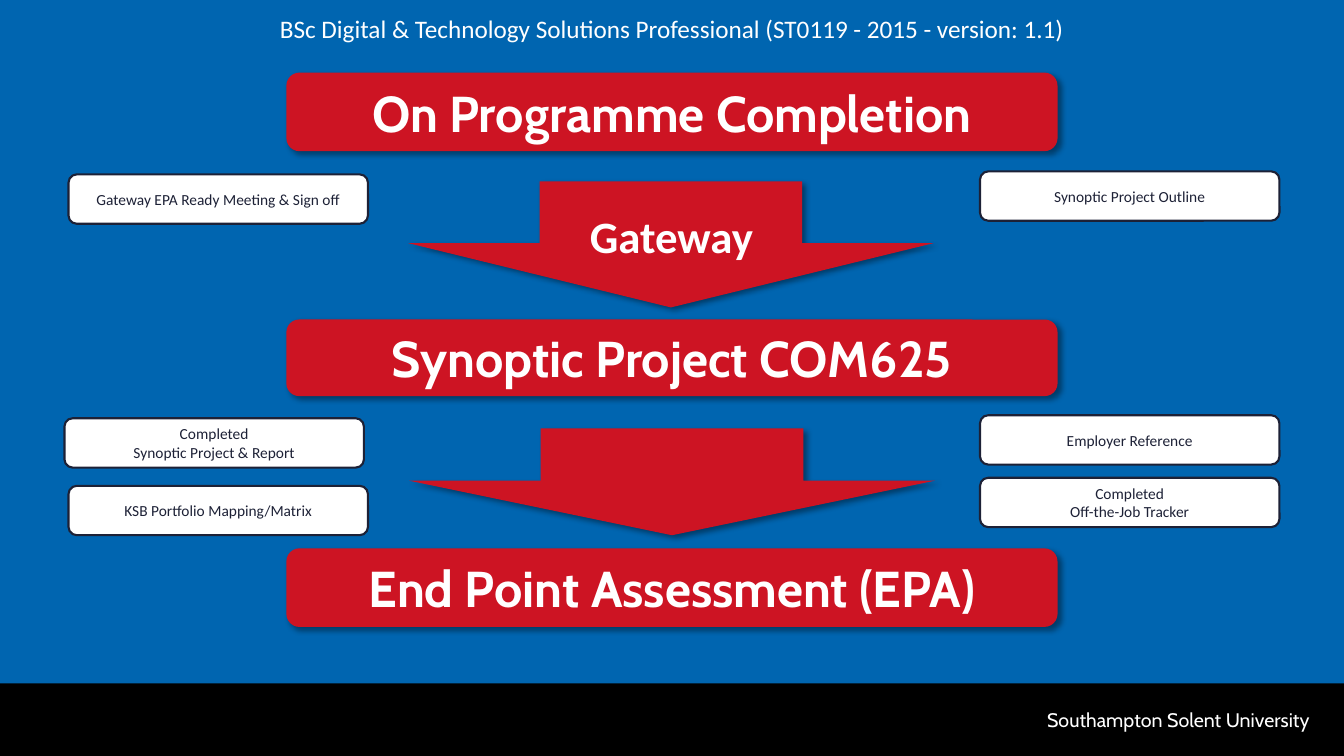
"""Build the slide showing the route from programme completion to end point assessment."""
from lxml.etree import SubElement
from pptx import Presentation
from pptx.dml.color import RGBColor
from pptx.enum.shapes import MSO_SHAPE
from pptx.enum.text import MSO_ANCHOR, PP_ALIGN
from pptx.oxml.ns import qn
from pptx.util import Inches, Pt

THEME = {
    "blue": RGBColor.from_string("0065B0"),
    "red": RGBColor.from_string("CD1423"),
    "navy": RGBColor.from_string("1D2136"),
    "white": RGBColor.from_string("FFFFFF"),
    "black": RGBColor.from_string("000000"),
    "display": "Cabin",
    "body": "Calibri",
    "banner": Pt(36),
    "gateway": Pt(32),
    "title": Pt(18),
    "footer": Pt(14),
    "card": Pt(11),
}

presentation = Presentation()
presentation.slide_width = Inches(13.33)
presentation.slide_height = Inches(7.5)
column = presentation.slide_width / 100
row = presentation.slide_height / 100
slide = presentation.slides.add_slide(presentation.slide_layouts[5])
slide.background.fill.solid()
slide.background.fill.fore_color.rgb = THEME["blue"]


def add_block(kind, left, top, width, height, fill, shadow=False):
    """Add a filled shape placed in hundredths of the slide, with an optional soft shadow."""
    shape = slide.shapes.add_shape(
        kind, round(left * column), round(top * row), round(width * column), round(height * row))
    shape.fill.solid()
    shape.fill.fore_color.rgb = THEME[fill]
    shape.line.fill.background()
    shape.shadow.inherit = False
    if shadow:
        effects = shape._element.spPr.find(qn("a:effectLst"))
        outer = SubElement(effects, qn("a:outerShdw"), blurRad=str(Pt(4)), dist=str(Pt(3)),
                           dir="2700000", algn="tl", rotWithShape="0")
        color = SubElement(outer, qn("a:srgbClr"), val="000000")
        SubElement(color, qn("a:alpha"), val="40000")
    return shape


def write(shape, text, face, size, color="white", bold=False, align=PP_ALIGN.CENTER):
    """Set the text of a shape and format every run."""
    frame = shape.text_frame
    frame.text = text
    frame.word_wrap = True
    frame.vertical_anchor = MSO_ANCHOR.MIDDLE
    for paragraph in frame.paragraphs:
        paragraph.alignment = align
        for run in paragraph.runs:
            run.font.name = THEME[face]
            run.font.size = THEME[size]
            run.font.color.rgb = THEME[color]
            run.font.bold = bold


title = slide.shapes.title
title.left, title.top = 0, round(1.07 * row)
title.width, title.height = presentation.slide_width, round(5.33 * row)
write(title, "BSc Digital & Technology Solutions Professional (ST0119 - 2015 - version: 1.1)",
      "body", "title")

add_block(MSO_SHAPE.RECTANGLE, 0, 90.4, 100, 9.6, "black")
footer = slide.shapes.add_textbox(
    round(29.18 * column), round(93.47 * row), round(68.27 * column), round(3.33 * row))
gateway = slide.shapes.add_textbox(
    round(40.21 * column), round(27.6 * row), round(19.5 * column), round(7.2 * row))
for box in (footer, gateway):
    frame = box.text_frame
    frame.margin_left = frame.margin_right = frame.margin_top = frame.margin_bottom = 0
write(footer, "Southampton Solent University", "display", "footer", align=PP_ALIGN.RIGHT)

for left, top, height in ((30.38, 24, 16.67), (30.46, 56.67, 14.13)):
    arrow = add_block(MSO_SHAPE.DOWN_ARROW, left, top, 39.08, height, "red", shadow=True)
    arrow.adjustments[0] = 0.5
    arrow.adjustments[1] = 0.51
write(gateway, "Gateway", "body", "gateway", bold=True)
slide.shapes._spTree.append(gateway._element)

banner_width = 57.38
for text, top, height in (
    ("On Programme Completion", 9.6, 10.4),
    ("Synoptic Project COM625", 42.27, 10.13),
    ("End Point Assessment (EPA)", 72.53, 10.4),
):
    banner = add_block(MSO_SHAPE.ROUNDED_RECTANGLE, (100 - banner_width) / 2, top,
                       banner_width, height, "red", shadow=True)
    write(banner, text, "display", "banner", bold=True)

left_side, right_side = 5.1, 72.92
for text, left, top in (
    ("Gateway EPA Ready Meeting & Sign off", left_side, 23.07),
    ("Completed\nSynoptic Project & Report", left_side - 0.3, 55.33),
    ("KSB Portfolio Mapping/Matrix", left_side, 64.27),
    ("Synoptic Project Outline", right_side, 22.67),
    ("Employer Reference", right_side, 54.93),
    ("Completed\nOff-the-Job Tracker", right_side, 63.2),
):
    card = add_block(MSO_SHAPE.ROUNDED_RECTANGLE, left, top, 22.28, 6.53, "white")
    card.line.color.rgb = THEME["navy"]
    card.line.width = Pt(1.5)
    write(card, text, "body", "card", "navy")

presentation.save("out.pptx")
